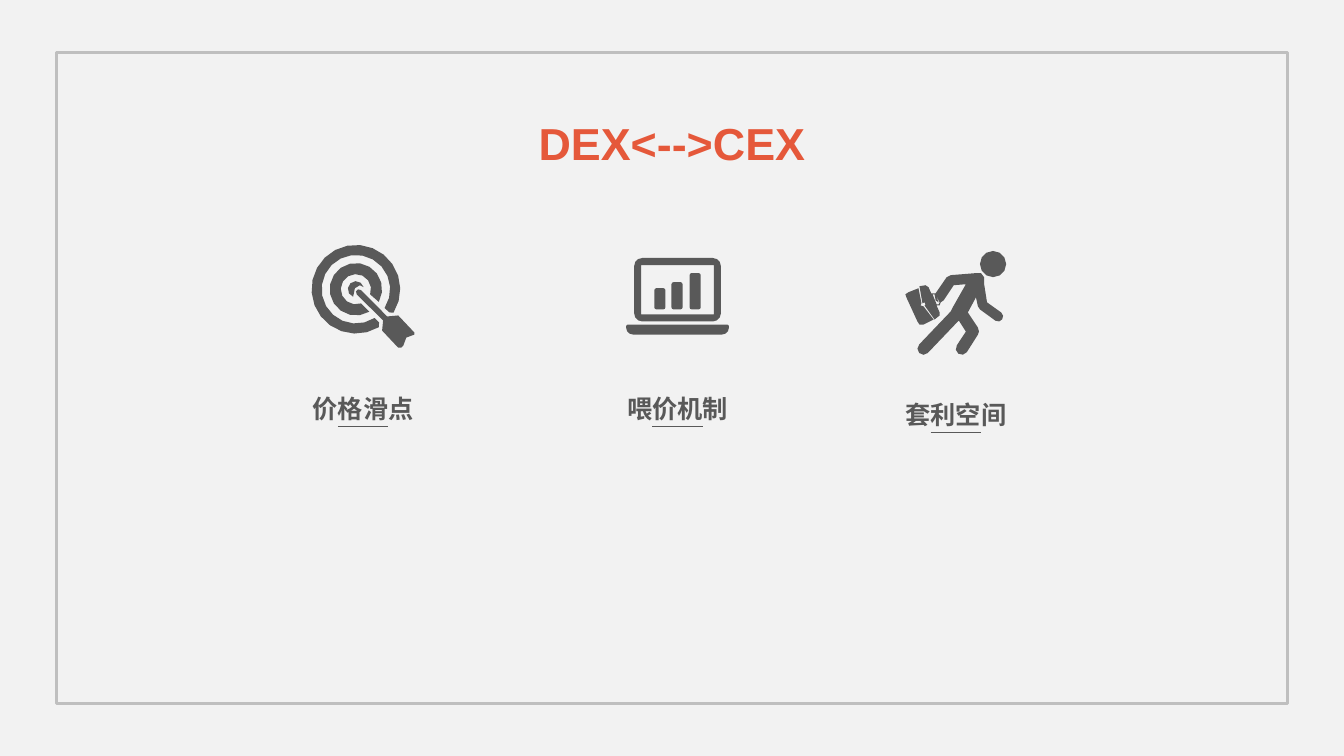
import math
from dataclasses import dataclass

import pptx
import pptx.dml.color
import pptx.enum.shapes
import pptx.enum.text
import pptx.oxml
import pptx.oxml.ns
import pptx.util

Inches = pptx.util.Inches


@dataclass(frozen=True)
class Theme:
    font: str = "Arial"
    background: str = "F2F2F2"
    frame: str = "BFBFBF"
    accent: str = "E5583A"
    dark: str = "595959"
    title_size: float = 32
    label_size: float = 18
    frame_width: float = 2.25
    rule_width: float = 0.5


def rgb(value):
    return pptx.dml.color.RGBColor.from_string(value)


def arc(cx, cy, radius, start, end, tolerance=0.005):
    """Fewest points that follow an arc; degrees run clockwise from three o'clock."""
    step = math.degrees(2 * math.acos(1 - tolerance / radius))
    steps = math.ceil(abs(end - start) / step)
    angles = [math.radians(start + (end - start) * i / steps) for i in range(steps + 1)]
    return [(cx + radius * math.cos(a), cy + radius * math.sin(a)) for a in angles]


def box(left, top, right, bottom):
    return [(left, top), (right, top), (right, bottom), (left, bottom)]


def rounded(left, top, right, bottom, top_radius, bottom_radius):
    """Outline of a box with separate radii for its top and bottom corners."""
    t, b = top_radius, bottom_radius
    return (arc(left + t, top + t, t, 180, 270) + arc(right - t, top + t, t, 270, 360)
            + arc(right - b, bottom - b, b, 0, 90) + arc(left + b, bottom - b, b, 90, 180))


def target_icon():
    cx, cy = 3.53, 2.87
    outer = (arc(cx, cy, 0.44, 59, 392) + [(3.86, 3.1)]
             + arc(cx, cy, 0.34, 393, 57) + [(3.76, 3.2)])
    middle = arc(cx, cy, 0.26, 59, 389) + arc(cx, cy, 0.15, 380, 70)
    center = arc(cx, cy, 0.08, 110, 345) + [(3.57, 2.83), (3.52, 2.86)]
    arrow = arc(3.56, 2.9, 0.03, 135, 315) + [
        (3.84, 3.14), (3.95, 3.13), (4.11, 3.3), (4.11, 3.32), (4.03, 3.35),
        (4, 3.43), (3.98, 3.45), (3.95, 3.45), (3.79, 3.28), (3.8, 3.18)]
    return [outer, middle, center, arrow]


def laptop_icon():
    base = rounded(6.21, 3.22, 7.23, 3.32, 0.02, 0.07)
    screen = rounded(6.29, 2.56, 7.15, 3.19, 0.08, 0.08)
    opening = box(6.36, 2.63, 7.08, 3.12)
    bars = [rounded(left, top, left + 0.11, 3.07, 0.02, 0.02)
            for left, top in [(6.49, 2.86), (6.66, 2.8), (6.84, 2.71)]]
    return [base, screen, opening, *bars]


def runner_icon():
    head = arc(9.85, 2.62, 0.13, 0, 360)
    front_hand = arc(9.9, 3.14, 0.05, -50, 120)
    front_foot = arc(9.54, 3.46, 0.06, 35, 215)
    back_foot = arc(9.16, 3.46, 0.06, 45, 225)
    body = [(9.68, 2.71), (9.73, 2.71), (9.76, 2.75), (9.76, 2.81), (9.79, 3),
            *front_hand, (9.72, 3.07), (9.7, 3.04), (9.68, 2.95), (9.6, 3.1),
            (9.7, 3.25), (9.71, 3.29), (9.7, 3.32), *front_foot, (9.58, 3.29),
            (9.51, 3.18), *back_foot, (9.43, 3.09), (9.45, 3.05), (9.58, 2.82),
            (9.46, 2.83), (9.36, 2.98), (9.33, 3), (9.28, 2.91), (9.39, 2.75),
            (9.43, 2.73)]
    case_back = [(9.11, 2.86), (9.14, 3.01), (9.13, 3.03), (9.16, 3.04),
                 (9.26, 3.17), (9.16, 3.22), (9.12, 3.22), (9.1, 3.19),
                 (8.99, 2.95), (8.98, 2.92), (9.01, 2.9)]
    case_front = [(9.18, 2.83), (9.21, 2.85), (9.32, 3.1), (9.32, 3.13),
                  (9.27, 3.17), (9.17, 3.03), (9.18, 3.02), (9.17, 3),
                  (9.15, 3.01), (9.12, 2.84)]
    handle = [(9.24, 2.91), (9.28, 2.91), (9.33, 3), (9.32, 3.03), (9.29, 3.03)]
    handle_gap = [(9.25, 2.92), (9.28, 2.92), (9.32, 3), (9.31, 3.02), (9.29, 3.02)]
    grip = [(9.27, 2.92), (9.28, 2.92), (9.31, 3), (9.28, 2.98)]
    return [head, body, case_back, case_front, handle, handle_gap, grip]


class Deck:
    def __init__(self, theme):
        self.theme = theme
        self.prs = pptx.Presentation()
        self.prs.slide_width, self.prs.slide_height = Inches(13.33), Inches(7.5)
        self.s = self.prs.slides.add_slide(self.prs.slide_layouts[5])
        fill = self.s.background.fill
        fill.solid()
        fill.fore_color.rgb = rgb(theme.background)

    def format_text(self, tf, text, size, color):
        tf.text = text
        p = tf.paragraphs[0]
        p.alignment = pptx.enum.text.PP_ALIGN.CENTER
        font = p.runs[0].font
        font.name, font.size, font.bold = self.theme.font, pptx.util.Pt(size), True
        font.color.rgb = rgb(color)
        return p

    def title(self, text, left, top, width, height):
        sp = self.s.shapes.title
        sp.left, sp.top, sp.width, sp.height = map(Inches, (left, top, width, height))
        tf = sp.text_frame
        self.format_text(tf, text, self.theme.title_size, self.theme.accent)
        tf.word_wrap = False
        tf.vertical_anchor = pptx.enum.text.MSO_ANCHOR.TOP

    def frame(self, left, top, width, height):
        sp = self.s.shapes.add_shape(pptx.enum.shapes.MSO_SHAPE.RECTANGLE,
                                     *map(Inches, (left, top, width, height)))
        sp.shadow.inherit = False
        sp.fill.background()
        sp.line.color.rgb = rgb(self.theme.frame)
        sp.line.width = pptx.util.Pt(self.theme.frame_width)

    def icon(self, shapes, contours):
        """Draw all contours as one shape, so that inner ones become holes."""
        outlines = [[(Inches(x), Inches(y)) for x, y in c] for c in contours]
        builder = shapes.build_freeform(*outlines[0][0])
        builder.add_line_segments(outlines[0][1:])
        for outline in outlines[1:]:
            builder.move_to(*outline[0])
            builder.add_line_segments(outline[1:])
        sp = builder.convert_to_shape()
        sp.shadow.inherit = False
        sp.fill.solid()
        sp.fill.fore_color.rgb = rgb(self.theme.dark)
        sp.line.fill.background()

    def rule(self, shapes, center, top, width=0.5):
        line = shapes.add_connector(
            pptx.enum.shapes.MSO_CONNECTOR.STRAIGHT,
            *map(Inches, (center - width / 2, top, center + width / 2, top)))
        line.line.color.rgb = rgb(self.theme.dark)
        line.line.width = pptx.util.Pt(self.theme.rule_width)
        line._element.spPr.append(pptx.oxml.parse_xml(
            "<a:effectLst %s/>" % pptx.oxml.ns.nsdecls("a")))

    def label(self, shapes, text, center, top, width=2.45, height=0.43):
        sp = shapes.add_textbox(*map(Inches, (center - width / 2, top, width, height)))
        sp.text_frame.word_wrap = True
        p = self.format_text(sp.text_frame, text, self.theme.label_size, self.theme.dark)
        p.line_spacing = 1.2

    def topic(self, text, contours, center, top):
        shapes = self.s.shapes.add_group_shape().shapes
        self.icon(shapes, contours)
        self.rule(shapes, center, top + 0.44)
        self.label(shapes, text, center, top)


def main():
    deck = Deck(Theme())
    deck.frame(0.56, 0.52, 12.21, 6.46)
    deck.title("DEX<-->CEX", 5.23, 1.1, 2.87, 0.64)
    deck.topic("价格滑点", target_icon(), 3.6, 3.79)
    deck.topic("喂价机制", laptop_icon(), 6.72, 3.79)
    deck.topic("套利空间", runner_icon(), 9.48, 3.85)
    deck.prs.save("out.pptx")


if __name__ == "__main__":
    main()
